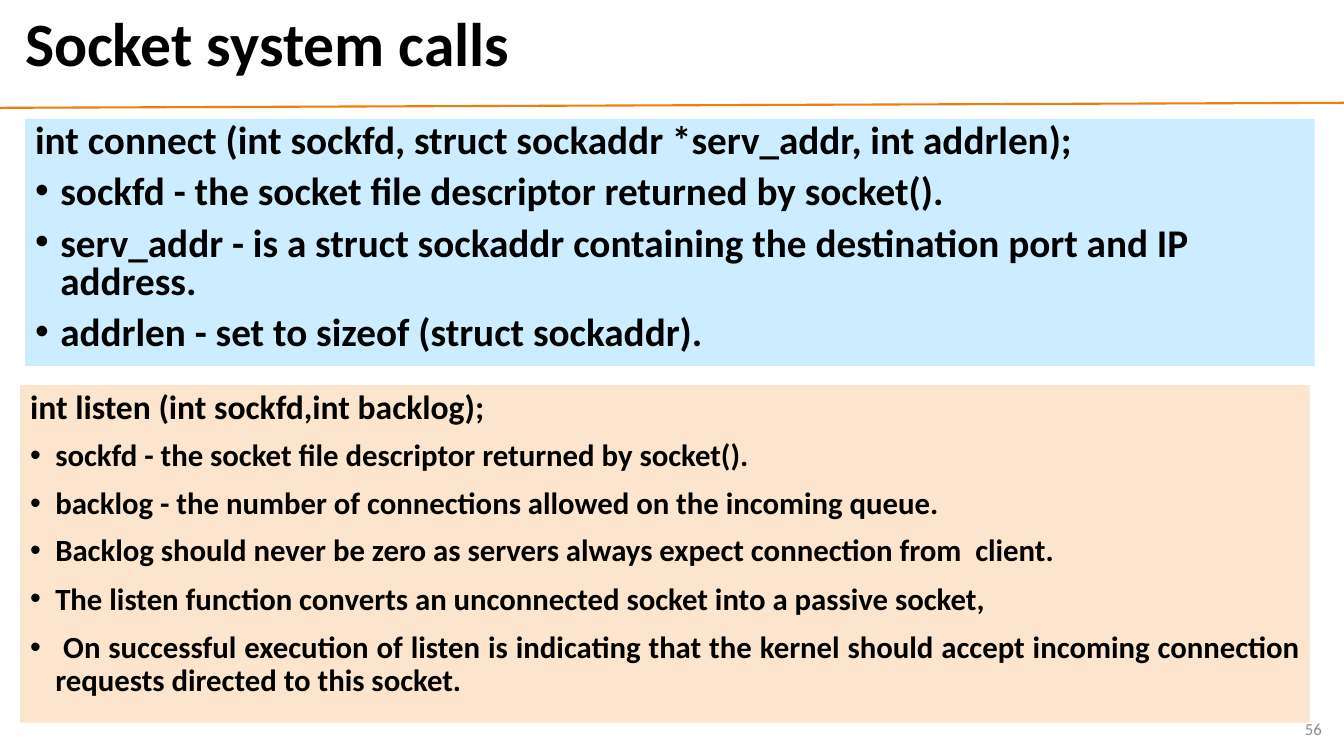
import pptx
import pptx.dml.color
import pptx.enum.shapes
import pptx.enum.text
import pptx.util
from lxml import etree
from pptx.oxml.ns import qn

Inches, Pt = pptx.util.Inches, pptx.util.Pt
ALIGN = pptx.enum.text.PP_ALIGN
ANCHOR = pptx.enum.text.MSO_ANCHOR

# Content
TITLE = "Socket system calls"
PAGE_NUMBER = "56"
INDENT = 0.25

# Each panel: heading, then bullets as (text, space before in points)
PANELS = [
    {
        "at": (0.25, 1.18, 12.79, 2.45), "fill": "CCECFF",
        "align": ALIGN.LEFT, "line": 0.8, "heading_size": 28, "bullet_size": 28,
        "heading": "int connect (int sockfd, struct sockaddr *serv_addr, int addrlen);",
        "bullets": [
            ("sockfd - the socket file descriptor returned by socket().", 10),
            ("serv_addr - is a struct sockaddr containing the destination port "
             "and IP address.", 10),
            ("addrlen - set to sizeof (struct sockaddr).", 10),
        ],
    },
    {
        "at": (0.2, 3.82, 12.79, 3.35), "fill": "FDE5CD",
        "align": ALIGN.JUSTIFY, "line": 0.9, "heading_size": 24, "bullet_size": 22,
        "heading": "int listen (int sockfd,int backlog);",
        "bullets": [
            ("sockfd - the socket file descriptor returned by socket().", 10),
            ("backlog - the number of connections allowed on the incoming queue.", 10),
            ("Backlog should never be zero as servers always expect connection "
             "from  client.", 10),
            ("The listen function converts an unconnected socket into a passive "
             "socket,", 11),
            (" On successful execution of listen is indicating that the kernel should "
             "accept incoming connection requests directed to this socket.", 11),
        ],
    },
]


def color(hex_string):
    return pptx.dml.color.RGBColor.from_string(hex_string)


def write(para, text, size, hex_string="000000", bold=True,
          align=ALIGN.LEFT, line=1.0, before=0):
    para.text = text
    para.alignment = align
    para.line_spacing = line
    para.space_before = Pt(before)
    para.font.name = "Calibri"
    para.font.size = Pt(size)
    para.font.bold = bold
    para.font.color.rgb = color(hex_string)


def add_bullet(para):
    properties = para._p.get_or_add_pPr()
    properties.set("marL", str(Inches(INDENT)))
    properties.set("indent", str(-Inches(INDENT)))
    etree.SubElement(properties, qn("a:buFont")).set("typeface", "Arial")
    etree.SubElement(properties, qn("a:buChar")).set("char", "•")


def add_label(page, at, text, size, **style):
    frame = page.shapes.add_textbox(*map(Inches, at)).text_frame
    frame.word_wrap = True
    frame.vertical_anchor = ANCHOR.MIDDLE
    write(frame.paragraphs[0], text, size, **style)


def add_panel(page, panel):
    box = page.shapes.add_shape(
        pptx.enum.shapes.MSO_SHAPE.RECTANGLE, *map(Inches, panel["at"]))
    box.shadow.inherit = False
    box.fill.solid()
    box.fill.fore_color.rgb = color(panel["fill"])
    box.line.fill.background()
    frame = box.text_frame
    frame.word_wrap = True
    frame.vertical_anchor = ANCHOR.TOP
    style = {"align": panel["align"], "line": panel["line"]}
    write(frame.paragraphs[0], panel["heading"], panel["heading_size"], **style)
    for text, before in panel["bullets"]:
        para = frame.add_paragraph()
        add_bullet(para)
        write(para, text, panel["bullet_size"], before=before, **style)


def main():
    deck = pptx.Presentation()
    deck.slide_width, deck.slide_height = Inches(13.33), Inches(7.5)
    page = deck.slides.add_slide(deck.slide_layouts[6])

    # Rule under the title
    rule = page.shapes.add_connector(
        pptx.enum.shapes.MSO_CONNECTOR.STRAIGHT,
        Inches(0), Inches(1.07), Inches(13.33), Inches(1.02))
    rule.line.color.rgb = color("F07F09")
    rule.line.width = Pt(1.5)
    etree.SubElement(rule._element.spPr, qn("a:effectLst"))

    # Title and page number
    add_label(page, (0.15, 0.05, 12.89, 0.83), TITLE, 44, line=0.9)
    add_label(page, (10.21, 7.03, 3, 0.4), PAGE_NUMBER, 12,
              hex_string="8C8C8C", bold=False, align=ALIGN.RIGHT)

    # System call panels
    for panel in PANELS:
        add_panel(page, panel)

    deck.save("out.pptx")


if __name__ == "__main__":
    main()
